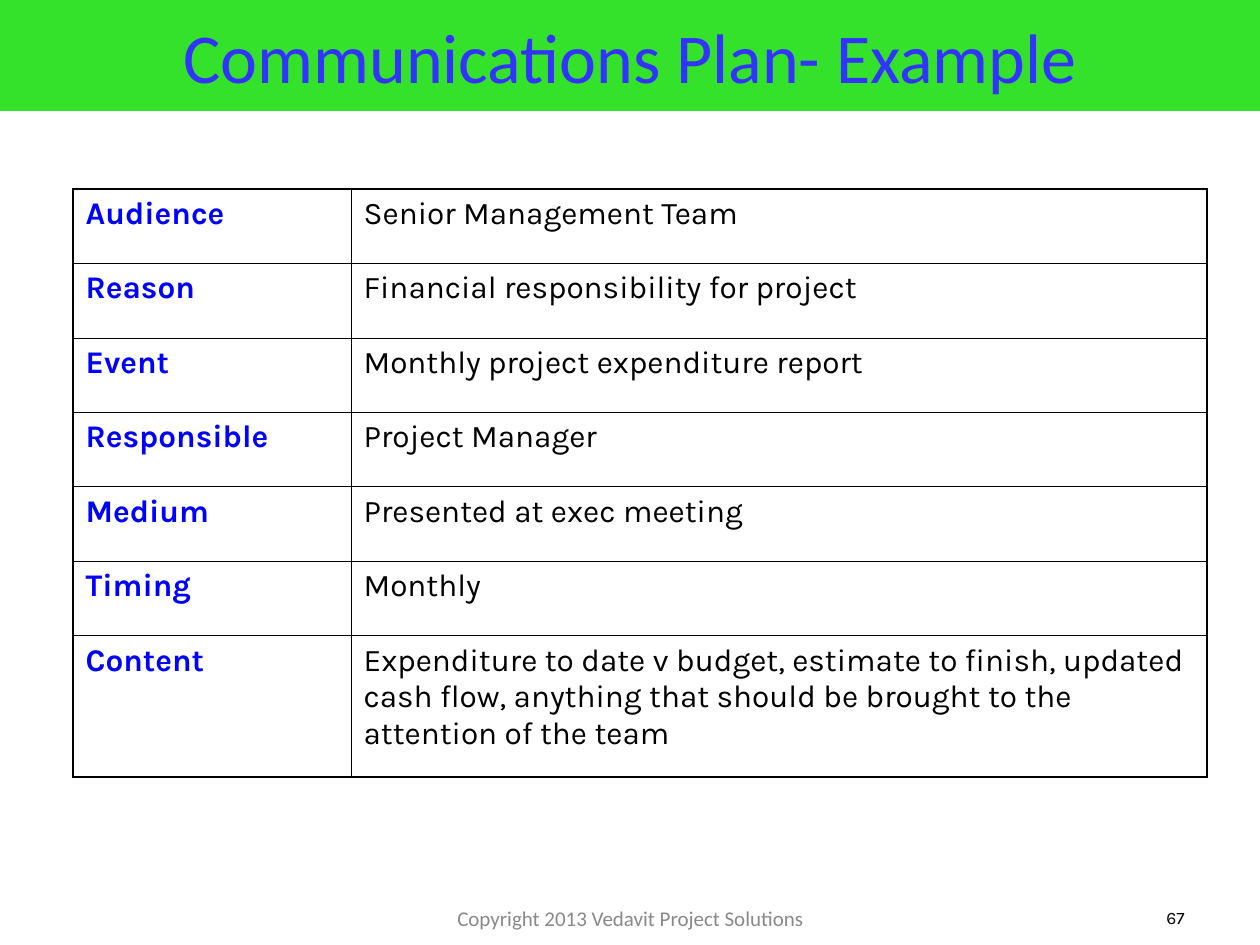
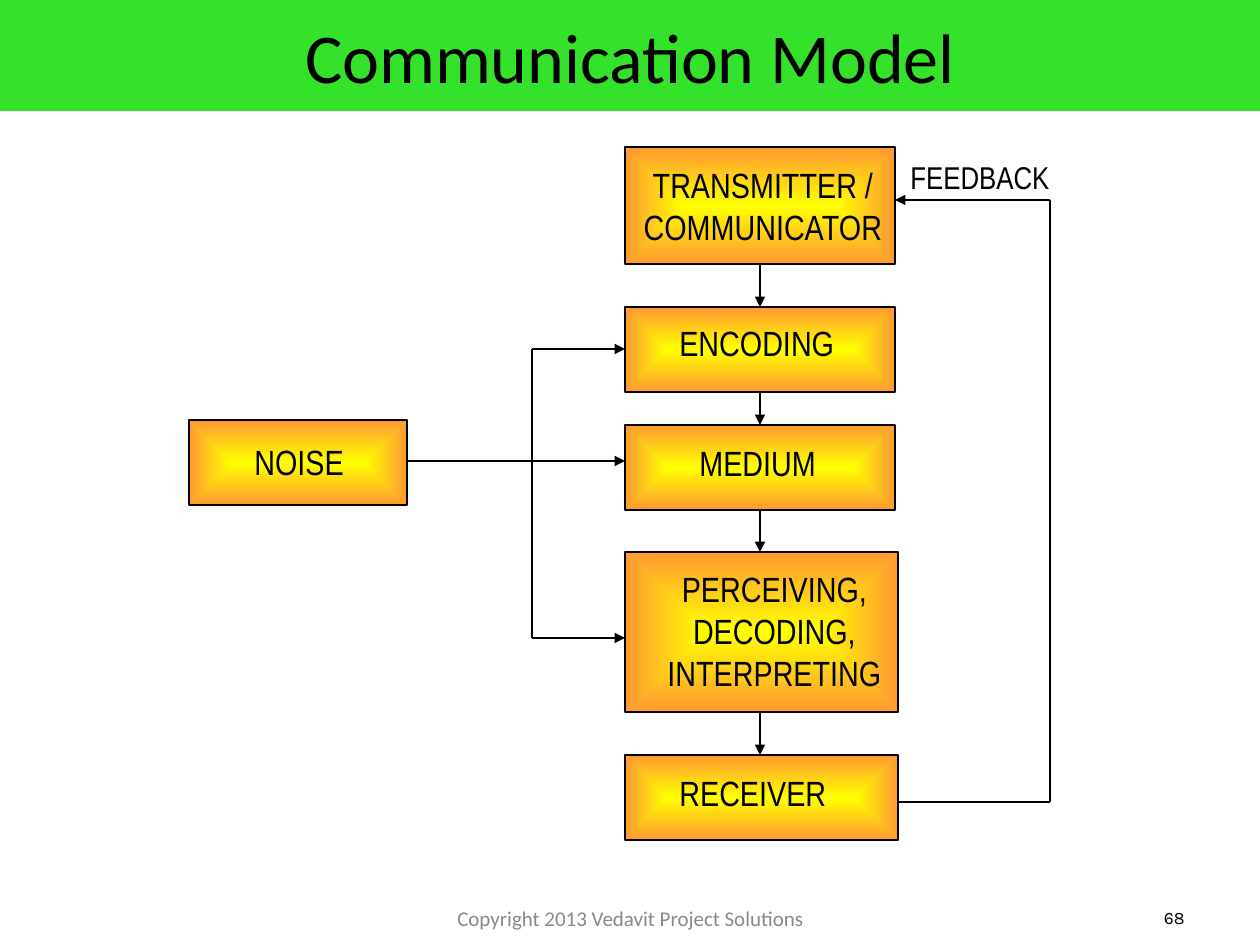
from dataclasses import dataclass
from itertools import pairwise

from lxml import etree
from pptx import Presentation
from pptx.dml.color import RGBColor
from pptx.enum.shapes import MSO_CONNECTOR, MSO_SHAPE
from pptx.enum.text import MSO_ANCHOR, PP_ALIGN
from pptx.oxml.ns import qn
from pptx.util import Pt

LINE = MSO_CONNECTOR.STRAIGHT
RECT = MSO_SHAPE.RECTANGLE
TOP, MIDDLE = MSO_ANCHOR.TOP, MSO_ANCHOR.MIDDLE
LEFT, CENTER, RIGHT = PP_ALIGN.LEFT, PP_ALIGN.CENTER, PP_ALIGN.RIGHT
SCALE = 914400 / 126
WIDTH, HEIGHT = 1260, 945


@dataclass(frozen=True)
class Theme:
    band: str = "34E12B"
    ink: str = "000000"
    title: str = "3333FF"
    key: str = "0000FF"
    quiet: str = "898989"
    core: str = "FFFF00"
    rim: str = "FF9933"
    head: str = "Calibri"
    body: str = "Karla"
    flow: str = "Arial Narrow"
    outer: float = 1.08
    inner: float = 0.45
    edge: float = 0.75
    wire: float = 1.5

    def font(self, name, size, color, bold=False):
        return {"name": name, "size": Pt(size), "bold": bold, "color": color}


THEME = Theme()
TITLE = THEME.font(THEME.head, 40, THEME.ink)
FOOT = THEME.font(THEME.head, 12, THEME.quiet)
PAGE = THEME.font(THEME.body, 10, THEME.ink)
KEY = THEME.font(THEME.body, 18, THEME.key, True)
VALUE = THEME.font(THEME.body, 18, THEME.ink)
NODE = THEME.font(THEME.flow, 20, THEME.ink)
NOTE = THEME.font(THEME.flow, 18, THEME.ink)

PLAN = [
    ("Audience", "Senior Management Team"),
    ("Reason", "Financial responsibility for project"),
    ("Event", "Monthly project expenditure report"),
    ("Responsible", "Project Manager"),
    ("Medium", "Presented at exec meeting"),
    ("Timing", "Monthly"),
    ("Content", "Expenditure to date v budget, estimate to finish, updated "
                "cash flow, anything that should be brought to the "
                "attention of the team"),
]

# Each stage: text, box top, width and height, then label box inside it
STAGES = [
    ("TRANSMITTER /\nCOMMUNICATOR", 0, 270, 117, (0, 10, 276, 97)),
    ("ENCODING", 160, 270, 85, (42, 8, 192, 55)),
    ("MEDIUM", 278, 270, 85, (62, 10, 153, 55)),
    ("PERCEIVING,\nDECODING,\nINTERPRETING", 405, 273, 160, (24, 9, 251, 139)),
    ("RECEIVER", 608, 273, 85, (42, 10, 183, 55)),
]


def px(*values):
    return [round(value * SCALE) for value in values]


def rgb(color):
    return RGBColor.from_string(color)


def write(frame, text, style, align=LEFT):
    para = frame.paragraphs[0]
    para.text = text
    para.alignment = align
    for run in para.runs:
        for name, value in style.items():
            if name == "color":
                run.font.color.rgb = rgb(value)
            else:
                setattr(run.font, name, value)


def label(slide, box, text, style, align=LEFT, anchor=TOP):
    frame = slide.shapes.add_textbox(*px(*box)).text_frame
    frame.word_wrap = True
    frame.vertical_anchor = anchor
    write(frame, text, style, align)


def block(slide, box):
    shape = slide.shapes.add_shape(RECT, *px(*box))
    shape.shadow.inherit = False
    return shape


def base(deck, title, number, color):
    """Add a slide with its title band, footer and page number."""
    slide = deck.slides.add_slide(deck.slide_layouts[6])
    band = block(slide, (0, 0, WIDTH, 111))
    band.fill.solid()
    band.fill.fore_color.rgb = rgb(THEME.band)
    band.line.fill.background()
    band.text_frame.vertical_anchor = MIDDLE
    write(band.text_frame, title, TITLE | {"color": color}, CENTER)
    label(slide, (431, 893, 399, 50), "Copyright 2013 Vedavit Project Solutions",
          FOOT, CENTER, MIDDLE)
    label(slide, (903, 893, 294, 50), str(number), PAGE, RIGHT, MIDDLE)
    return slide


def border(cell, sides):
    """Draw the cell's edges; sides are outer flags in the order L, R, T, B."""
    props = cell._tc.get_or_add_tcPr()
    for index, (side, outer) in enumerate(zip("LRTB", sides)):
        width = Pt(THEME.outer if outer else THEME.inner)
        edge = etree.Element(qn(f"a:ln{side}"), w=str(width))
        fill = etree.SubElement(edge, qn("a:solidFill"))
        etree.SubElement(fill, qn("a:srgbClr"), val=THEME.ink)
        props.insert(index, edge)


def grid(slide, box, rows, first, last):
    """Draw key and value rows; first is the key width, last the end row height."""
    _, _, width, height = box
    table = slide.shapes.add_table(len(rows), 2, *px(*box)).table
    table.first_row = table.horz_banding = False
    table.columns[0].width, table.columns[1].width = px(first, width - first)
    end = len(rows) - 1
    step = (height - last) / end
    for r, row in enumerate(rows):
        table.rows[r].height = px(last if r == end else step)[0]
        for c, (text, style) in enumerate(zip(row, (KEY, VALUE))):
            cell = table.cell(r, c)
            cell.fill.background()
            write(cell.text_frame, text, style)
            border(cell, (c == 0, c == 1, r == 0, r == end))


def node(slide, box, text, inset):
    """Draw a glowing box with its label placed by inset."""
    shape = block(slide, box)
    shape.fill.gradient()
    for stop, color in zip(shape.fill.gradient_stops, (THEME.core, THEME.rim)):
        stop.color.rgb = rgb(color)
    glow = shape._element.spPr.find(qn("a:gradFill"))
    glow.remove(glow.find(qn("a:lin")))
    route = etree.SubElement(glow, qn("a:path"), path="rect")
    etree.SubElement(route, qn("a:fillToRect"), {side: "50000" for side in "ltrb"})
    shape.line.color.rgb = rgb(THEME.ink)
    shape.line.width = Pt(THEME.edge)
    x, y, width, height = inset
    label(slide, (box[0] + x, box[1] + y, width, height), text, NODE,
          CENTER if "\n" in text else LEFT)


def wire(slide, points, arrow=True):
    """Join the points by straight lines, with an arrowhead at the end."""
    for start, end in pairwise(points):
        line = slide.shapes.add_connector(LINE, *px(*start, *end))
        line.line.color.rgb = rgb(THEME.ink)
        line.line.width = Pt(THEME.wire)
        props = line._element.spPr
        if arrow and end == points[-1]:
            etree.SubElement(props.find(qn("a:ln")), qn("a:tailEnd"), type="triangle")
        etree.SubElement(props, qn("a:effectLst"))


def model(slide, box):
    """Draw the stages, the noise that enters them and the feedback loop."""
    left, top, width, _ = box

    def at(x, y):
        return left + x, top + y

    stem, axis, bus = 436, 571, 343
    node(slide, (*at(0, 273), 218, 85), "NOISE", (53, 14, 127, 55))
    for text, y, wide, high, inset in STAGES:
        node(slide, (*at(stem, y), wide, high), text, inset)
    for (_, y, _, high, _), (_, below, *_) in pairwise(STAGES):
        wire(slide, [at(axis, y + high), at(axis, below)])

    upper, mid, lower = 202, 314, 491
    wire(slide, [at(219, mid), at(stem, mid)])
    wire(slide, [at(bus, upper), at(bus, lower)], arrow=False)
    for y in (upper, lower):
        wire(slide, [at(bus, y), at(stem, y)])

    start, end = stem + STAGES[-1][2], stem + STAGES[0][2]
    wire(slide, [at(start, 655), at(width, 655), at(width, 53), at(end, 53)])
    label(slide, (*at(709, 5), 176, 50), "FEEDBACK", NOTE)


def main():
    deck = Presentation()
    deck.slide_width, deck.slide_height = px(WIDTH, HEIGHT)
    slide = base(deck, "Communications Plan- Example", 67, THEME.title)
    grid(slide, (73, 189, 1134, 588), PLAN, first=278, last=141)
    slide = base(deck, "Communication Model", 68, THEME.ink)
    model(slide, (189, 147, 861, 693))
    deck.save("out.pptx")


if __name__ == "__main__":
    main()
